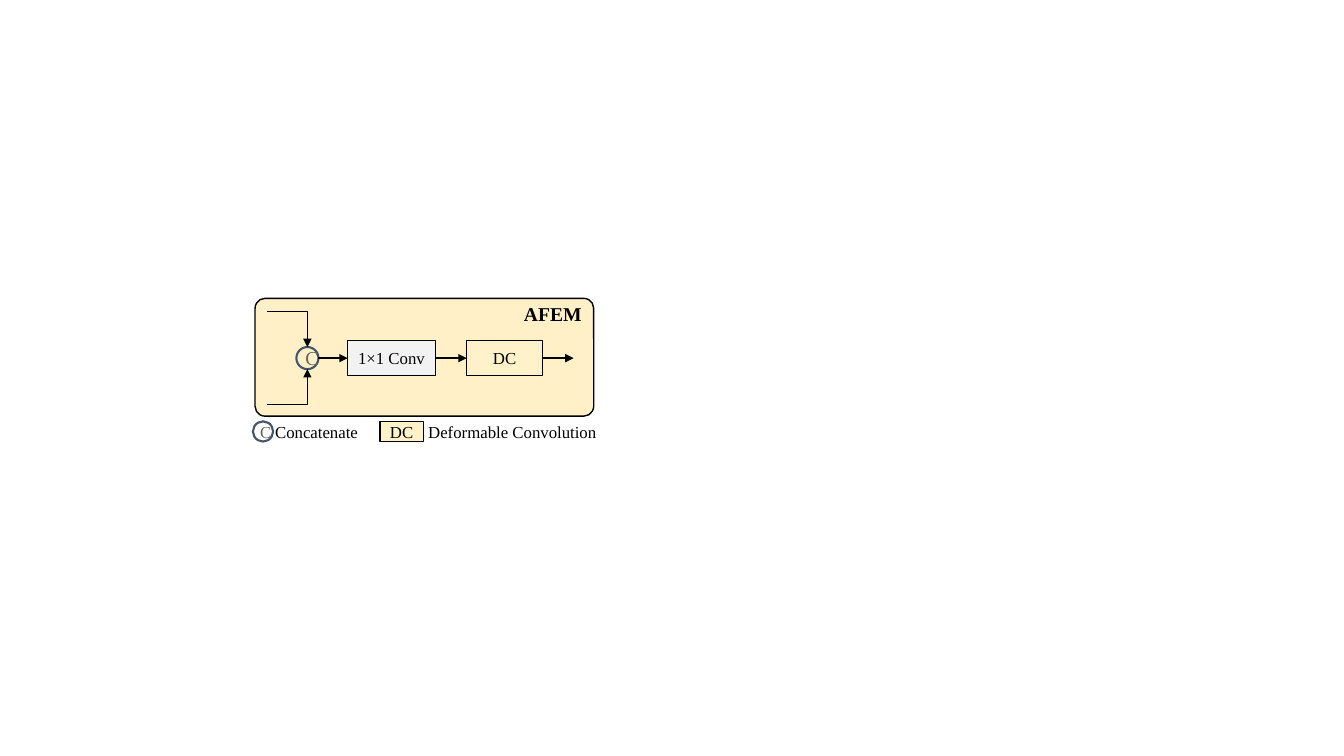
from pptx import Presentation
from pptx.dml.color import RGBColor
from pptx.enum.shapes import MSO_CONNECTOR as LINK, MSO_SHAPE as SHAPE
from pptx.enum.text import MSO_ANCHOR as ANCHOR, MSO_AUTO_SIZE as FIT, PP_ALIGN as ALIGN
from pptx.oxml.ns import qn
from pptx.util import Pt
from lxml import etree

FONT = "Times New Roman"
BLACK, SLATE, GREY = "000000", "44546A", "666666"
PANEL_FILL, DC_FILL, CONV_FILL = "FFF0C8", "FFF2CA", "F2F2F2"


def color(hex_code):
    return RGBColor.from_string(hex_code)


def write(frame, text, size, ink=BLACK, align=ALIGN.LEFT, bold=False):
    paragraph = frame.paragraphs[0]
    paragraph.alignment = align
    run = paragraph.add_run()
    run.text = text
    for key, value in {"name": FONT, "size": Pt(size), "bold": bold}.items():
        setattr(run.font, key, value)
    run.font.color.rgb = color(ink)


def block(slide, kind, box, fill=None, line=BLACK, weight=1, corner=None):
    shape = slide.shapes.add_shape(kind, *map(Pt, box))
    shape.shadow.inherit = False
    if fill:
        shape.fill.solid()
        shape.fill.fore_color.rgb = color(fill)
    else:
        shape.fill.background()
    shape.line.color.rgb = color(line)
    shape.line.width = Pt(weight)
    if corner is not None:
        shape.adjustments[0] = corner
    return shape


def operator(slide, box, text, fill):
    shape = block(slide, SHAPE.ROUNDED_RECTANGLE, box, fill, corner=0)
    shape.text_frame.vertical_anchor = ANCHOR.MIDDLE
    write(shape.text_frame, text, 12, align=ALIGN.CENTER)


def concat_symbol(slide, left, top, diameter, size):
    circle = block(slide, SHAPE.OVAL, (left, top, diameter, diameter),
                   line=SLATE, weight=1.5)
    frame = circle.text_frame
    for side in ("left", "top", "right", "bottom"):
        setattr(frame, f"margin_{side}", Pt(7.2))
    frame.vertical_anchor = ANCHOR.MIDDLE
    write(frame, "C", size, GREY, ALIGN.CENTER)


def label(slide, box, text, size=12, bold=False):
    frame = slide.shapes.add_textbox(*map(Pt, box)).text_frame
    frame.word_wrap = True
    frame.auto_size = FIT.SHAPE_TO_FIT_TEXT
    write(frame, text, size, bold=bold)


def arrow(slide, start, end, bent=False):
    kind = LINK.ELBOW if bent else LINK.STRAIGHT
    link = slide.shapes.add_connector(kind, *map(Pt, start + end))
    link.line.color.rgb = color(BLACK)
    link.line.width = Pt(1)
    properties = link._element.spPr
    if bent:
        properties.find(qn("a:prstGeom")).set("prst", "bentConnector2")
    head = etree.SubElement(properties.find(qn("a:ln")), qn("a:tailEnd"))
    head.set("type", "triangle")
    etree.SubElement(properties, qn("a:effectLst"))


def module_panel(slide, left, top, width, height):
    block(slide, SHAPE.ROUNDED_RECTANGLE, (left, top, width, height),
          PANEL_FILL, corner=0.085)
    middle = top + 42.7

    # Two inputs meet at the concatenation
    diameter = 15.8
    radius = diameter / 2
    concat_x = left + 37.4
    concat_symbol(slide, concat_x - radius, middle - radius, diameter, 14)
    for side in (-1, 1):
        arrow(slide, (left + 8.6, middle + side * 33.1),
              (concat_x, middle + side * radius), bent=True)

    # Operators in a row, each fed by an arrow
    exit_x = concat_x + radius
    for text, offset, breadth, fill in (("1×1 Conv", 66.2, 62.6, CONV_FILL),
                                        ("DC", 151.2, 54, DC_FILL)):
        operator(slide, (left + offset, middle - 12.6, breadth, 25.2), text, fill)
        arrow(slide, (exit_x, middle), (left + offset, middle))
        exit_x = left + offset + breadth
    arrow(slide, (exit_x, middle), (exit_x + 22.3, middle))

    # Module name
    label(slide, (left + width - 56.9, top - 0.7, 65.5, 24.5), "AFEM", 14, bold=True)


def legend(slide, left, top):
    concat_symbol(slide, left, top + 3.6, 14.4, 12)
    label(slide, (left + 8.7, top, 87.8, 21.6), "Concatenate")
    operator(slide, (left + 90.7, top + 3.6, 31, 14.4), "DC", DC_FILL)
    label(slide, (left + 118.1, top, 136.8, 21.6), "Deformable Convolution")


def main():
    deck = Presentation()
    deck.slide_width, deck.slide_height = Pt(960), Pt(540)
    slide = deck.slides.add_slide(deck.slide_layouts[6])
    module_panel(slide, 182.2, 213.1, 241.9, 84.2)
    legend(slide, 180.7, 297.4)
    deck.save("out.pptx")


if __name__ == "__main__":
    main()
